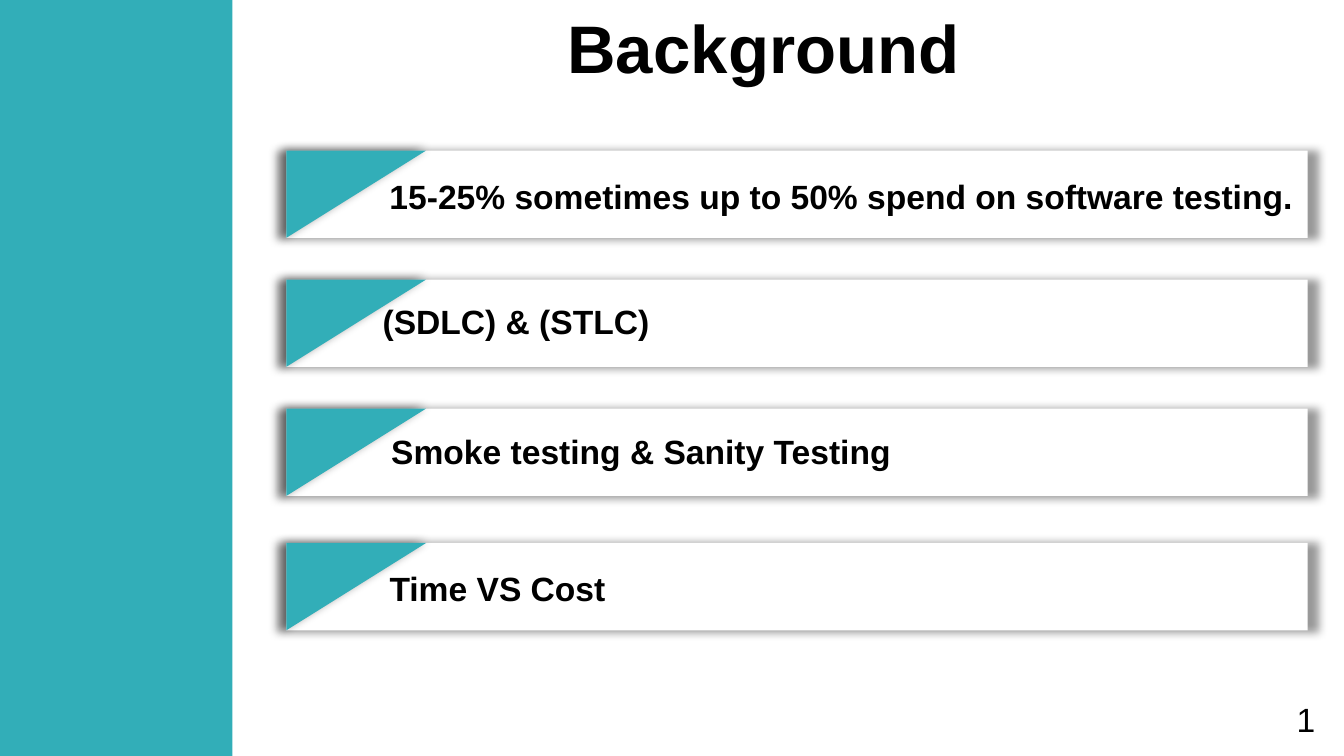
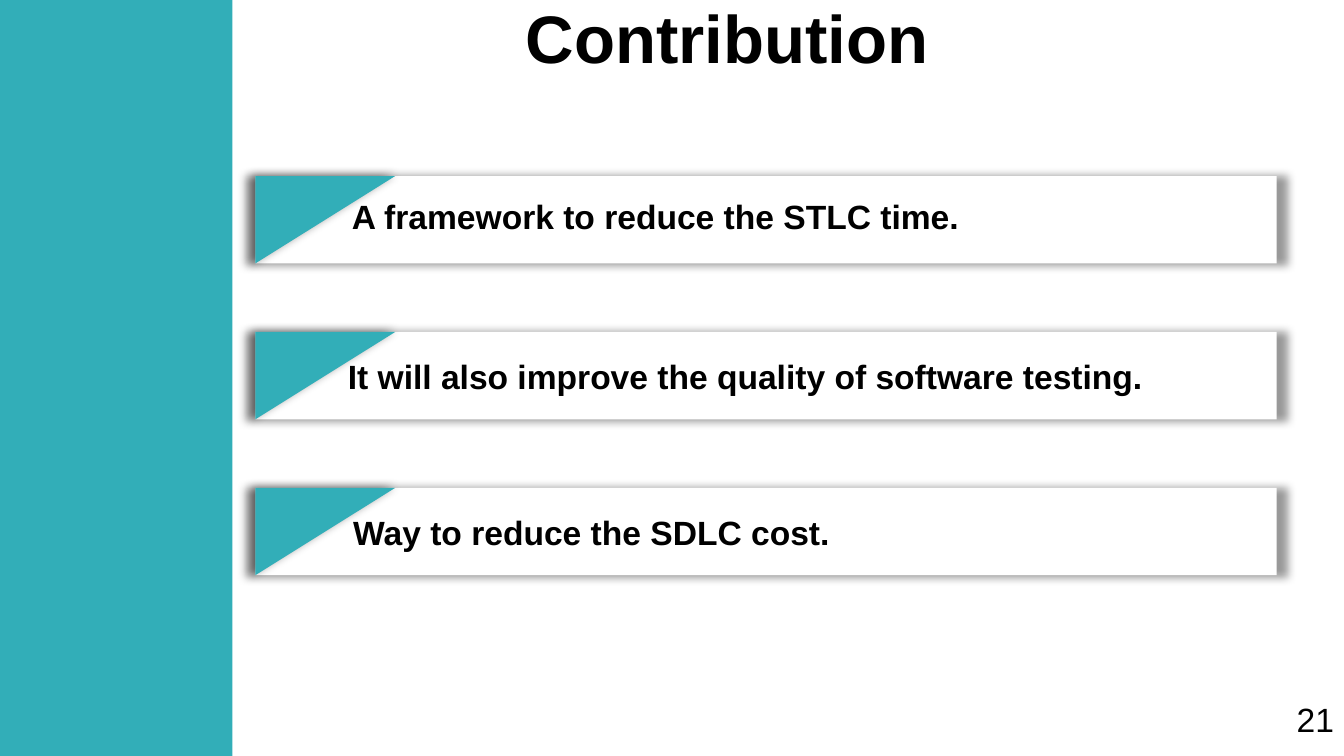
from lxml import etree
from pptx import Presentation
from pptx.dml.color import RGBColor
from pptx.enum import shapes, text
from pptx.oxml import ns
from pptx.util import Inches, Pt

TEAL = RGBColor(0x32, 0xAE, 0xB8)
WHITE = RGBColor(0xFF, 0xFF, 0xFF)
BLACK = RGBColor(0, 0, 0)
FONT = "Arial"
WIDE = 10
HIGH = WIDE * 9 / 16
BAR_W, BAR_H, TIP = 7.6, 0.65, 1.04
LEFT, MID = text.PP_ALIGN.LEFT, text.PP_ALIGN.CENTER
RECT = shapes.MSO_SHAPE.RECTANGLE
WEDGE = shapes.MSO_SHAPE.RIGHT_TRIANGLE


class Deck:
    def __init__(self):
        self.prs = Presentation()
        self.prs.slide_width = Inches(WIDE)
        self.prs.slide_height = Inches(HIGH)
        self.slide = None

    def page(self, title, top, shift, number, num_w):
        self.slide = self.prs.slides.add_slide(self.prs.slide_layouts[6])
        self.shape(self.slide.shapes, RECT, (0, 0, 1.73, HIGH), TEAL)
        frame = self.label(title, (0, top, WIDE, 0.63), MID, size=36)
        frame.vertical_anchor = text.MSO_ANCHOR.MIDDLE
        frame.margin_left = Inches(0.1 + 2 * shift)
        frame = self.label(number, (9.55, 5.15, num_w, 0.4), bold=False)
        frame.word_wrap = False

    def shape(self, home, kind, box, fill):
        item = home.add_shape(kind, *map(Inches, box))
        item.shadow.inherit = False
        item.fill.solid()
        item.fill.fore_color.rgb = fill
        item.line.fill.background()
        return item

    def glow(self, item):
        effects = item._element.spPr.find(ns.qn("a:effectLst"))
        outer = etree.SubElement(
            effects, ns.qn("a:outerShdw"), blurRad=str(Pt(5)), dist="0",
            sx="102000", sy="102000", algn="ctr", rotWithShape="0")
        color = etree.SubElement(outer, ns.qn("a:srgbClr"), val=str(BLACK))
        etree.SubElement(color, ns.qn("a:alpha"), val="40000")

    def bar(self, left, top):
        group = self.slide.shapes.add_group_shape().shapes
        self.glow(self.shape(group, RECT, (left, top, BAR_W, BAR_H), WHITE))
        turn = (TIP - BAR_H) / 2
        box = (left + turn, top - turn, BAR_H, TIP)
        wedge = self.shape(group, WEDGE, box, TEAL)
        wedge.rotation = 90
        self.glow(wedge)

    def label(self, words, box, align=LEFT, size=18, bold=True):
        frame = self.slide.shapes.add_textbox(*map(Inches, box)).text_frame
        frame.word_wrap = True
        para = frame.paragraphs[0]
        para.text = words
        para.alignment = align
        font = para.font
        font.name, font.size, font.bold = FONT, Pt(size), bold
        font.color.rgb = BLACK
        return frame


def main():
    deck = Deck()

    deck.page("Background", 0.03, 0.68, "1", 0.34)
    topics = [
        (1.12, "15-25% sometimes up to 50% spend on software testing.",
         (2.8, 1.26, 6.93, 0.4), LEFT),
        (2.08, "(SDLC) & (STLC)", (2.44, 2.19, 2.8, 0.4), MID),
        (3.04, "Smoke testing & Sanity Testing",
         (0.91, 3.16, 7.72, 0.4), MID),
        (4.04, "Time VS Cost", (2.8, 4.18, 2.05, 0.4), LEFT),
    ]
    for top, words, box, align in topics:
        deck.bar(2.13, top)
        deck.label(words, box, align)

    deck.page("Contribution", -0.04, 0.41, "21", 0.48)
    gains = [
        ("A framework to reduce the STLC time.", 2.52, 1.41),
        ("It will also improve the quality of software testing.", 2.49, 2.6),
        ("Way to reduce the SDLC cost.", 2.53, 3.76),
    ]
    for row, (words, left, top) in enumerate(gains):
        deck.bar(1.9, 1.31 + 1.16 * row)
        deck.label(words, (left, top, 7.04, 0.68))

    deck.prs.save("out.pptx")


if __name__ == "__main__":
    main()
